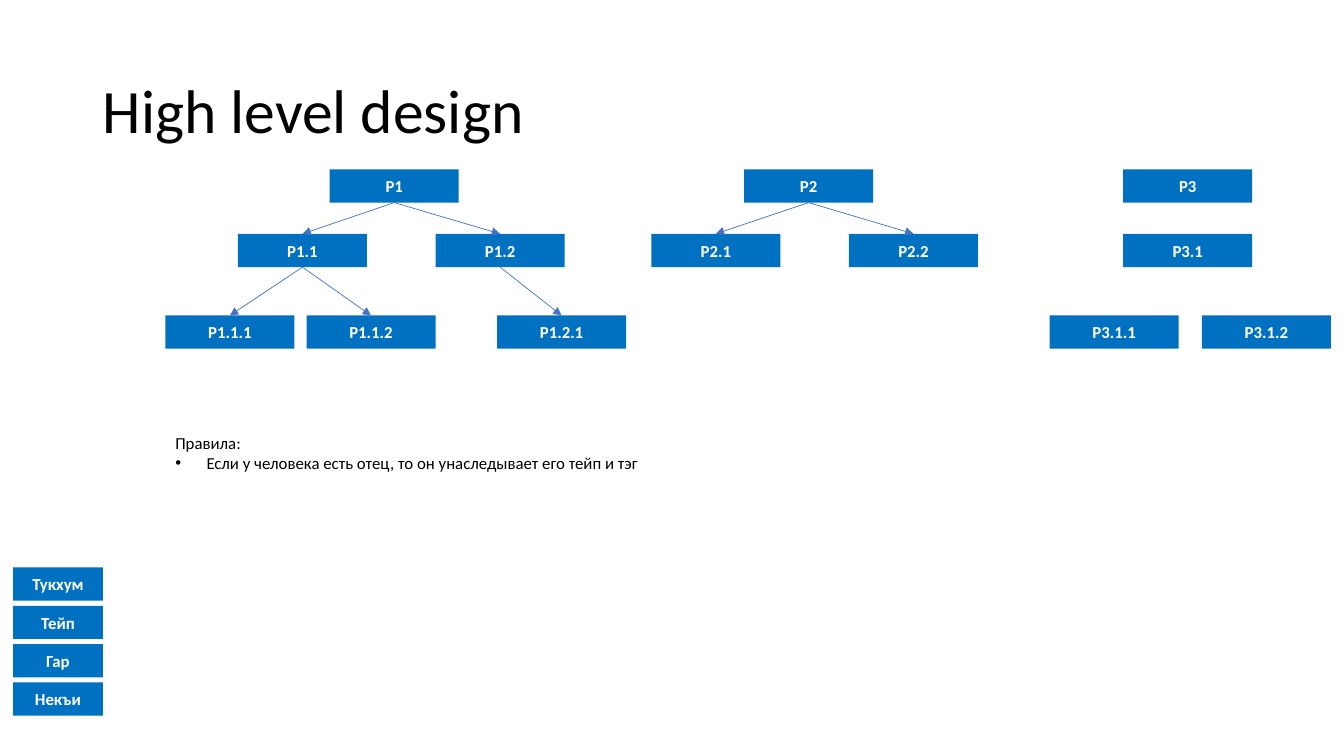
from lxml.etree import SubElement
from pptx import Presentation
from pptx.dml.color import RGBColor
from pptx.enum.shapes import MSO_CONNECTOR as Connector, MSO_SHAPE as Shape
from pptx.enum.text import MSO_ANCHOR as Anchor, MSO_AUTO_SIZE as AutoSize, PP_ALIGN as Align
from pptx.oxml.ns import qn
from pptx.util import Inches, Pt

BLUE = RGBColor(0x00, 0x70, 0xC0)
ARROW_BLUE = RGBColor(0x44, 0x72, 0xC4)
WHITE = RGBColor(0xFF, 0xFF, 0xFF)
BLACK = RGBColor(0x00, 0x00, 0x00)
FONT = "Calibri"

GRID_COLUMNS, GRID_ROWS = 133.3, 75
CELL = Inches(0.1)
PERSON_WIDTH, BOX_HEIGHT = 12.8, 3.3
LEVEL_ROWS = (0, 6.4, 14.5)
LEGEND_STEP = 3.8
TOP_SITE, BOTTOM_SITE = 0, 2

FAMILIES = [
    ((16.4, 16.8), True, {"P1": 16.3, "P1.1": 7.2, "P1.2": 26.8,
                          "P1.1.1": 0, "P1.1.2": 14, "P1.2.1": 32.9}),
    ((64.6, 16.8), True, {"P2": 9.2, "P2.1": 0, "P2.2": 19.6}),
    ((104.1, 16.8), False, {"P3": 7.3, "P3.1": 7.3, "P3.1.1": 0, "P3.1.2": 15.1}),
]
LEGEND = ("Тукхум", "Тейп", "Гар", "Некъи")


def cells(*counts):
    """Turn grid counts into slide lengths."""
    return [round(count * CELL) for count in counts]


def add_run(paragraph, text, size, color, bold=False):
    """Add one formatted run."""
    run = paragraph.add_run()
    run.text = text
    run.font.name = FONT
    run.font.size = Pt(size)
    run.font.bold = bold
    run.font.color.rgb = color


def add_label_box(slide, label, box):
    """Draw a blue box with a centred label."""
    label_box = slide.shapes.add_shape(Shape.RECTANGLE, *cells(*box))
    label_box.shadow.inherit = False
    label_box.fill.solid()
    label_box.fill.fore_color.rgb = BLUE
    label_box.line.fill.background()
    frame = label_box.text_frame
    frame.vertical_anchor = Anchor.MIDDLE
    frame.paragraphs[0].alignment = Align.CENTER
    add_run(frame.paragraphs[0], label, 12, WHITE, bold=True)
    return label_box


def add_descent_arrow(slide, parent, child):
    """Link the bottom of a parent to the top of a child."""
    arrow = slide.shapes.add_connector(Connector.STRAIGHT, 0, 0, 0, 0)
    arrow.begin_connect(parent, BOTTOM_SITE)
    arrow.end_connect(child, TOP_SITE)
    arrow.line.color.rgb = ARROW_BLUE
    arrow.line.width = Pt(0.5)
    SubElement(arrow.line._get_or_add_ln(), qn("a:tailEnd"), type="triangle")
    SubElement(arrow._element.spPr, qn("a:effectLst"))


def add_family(slide, origin, linked, columns):
    """Draw a family tree whose levels follow the dots in each name."""
    left, top = origin
    people = {}
    for name, column in columns.items():
        row = LEVEL_ROWS[name.count(".")]
        people[name] = add_label_box(
            slide, name, (left + column, top + row, PERSON_WIDTH, BOX_HEIGHT))
    if linked:
        for name, person in people.items():
            parent_name = name.rpartition(".")[0]
            if parent_name:
                add_descent_arrow(slide, people[parent_name], person)


def add_legend(slide, box):
    """Stack the clan levels in equal steps."""
    left, top, width = box
    for index, label in enumerate(LEGEND):
        add_label_box(slide, label, (left, top + index * LEGEND_STEP, width, BOX_HEIGHT))


def add_title(slide, box):
    """Place and fill the title."""
    title = slide.shapes.title
    title.left, title.top, title.width, title.height = cells(*box)
    frame = title.text_frame
    frame.vertical_anchor = Anchor.MIDDLE
    heading = frame.paragraphs[0]
    heading.alignment = Align.LEFT
    heading.line_spacing = 0.9
    add_run(heading, "High level design", 44, BLACK)


def add_rules(slide, box):
    """Write the rules heading and its bullet."""
    frame = slide.shapes.add_textbox(*cells(*box)).text_frame
    frame.word_wrap = True
    frame.auto_size = AutoSize.SHAPE_TO_FIT_TEXT
    add_run(frame.paragraphs[0], "Правила:", 12, BLACK)
    rule = frame.add_paragraph()
    add_run(rule, "Если у человека есть отец, то он унаследывает его тейп и тэг", 12, BLACK)
    properties = rule._p.get_or_add_pPr()
    indent = Inches(0.31)
    properties.set("marL", str(indent))
    properties.set("indent", str(-indent))
    SubElement(properties, qn("a:buFont"), typeface="Arial")
    SubElement(properties, qn("a:buChar"), char="•")


def main():
    """Build and save the slide."""
    deck = Presentation()
    deck.slide_width, deck.slide_height = cells(GRID_COLUMNS, GRID_ROWS)
    slide = deck.slides.add_slide(deck.slide_layouts[5])
    add_title(slide, (9.2, 4, 115, 14.5))
    add_legend(slide, (1.3, 56.3, 8.9))
    for origin, linked, columns in FAMILIES:
        add_family(slide, origin, linked, columns)
    add_rules(slide, (16.4, 42.4, 75.2, 5))
    deck.save("out.pptx")


if __name__ == "__main__":
    main()
